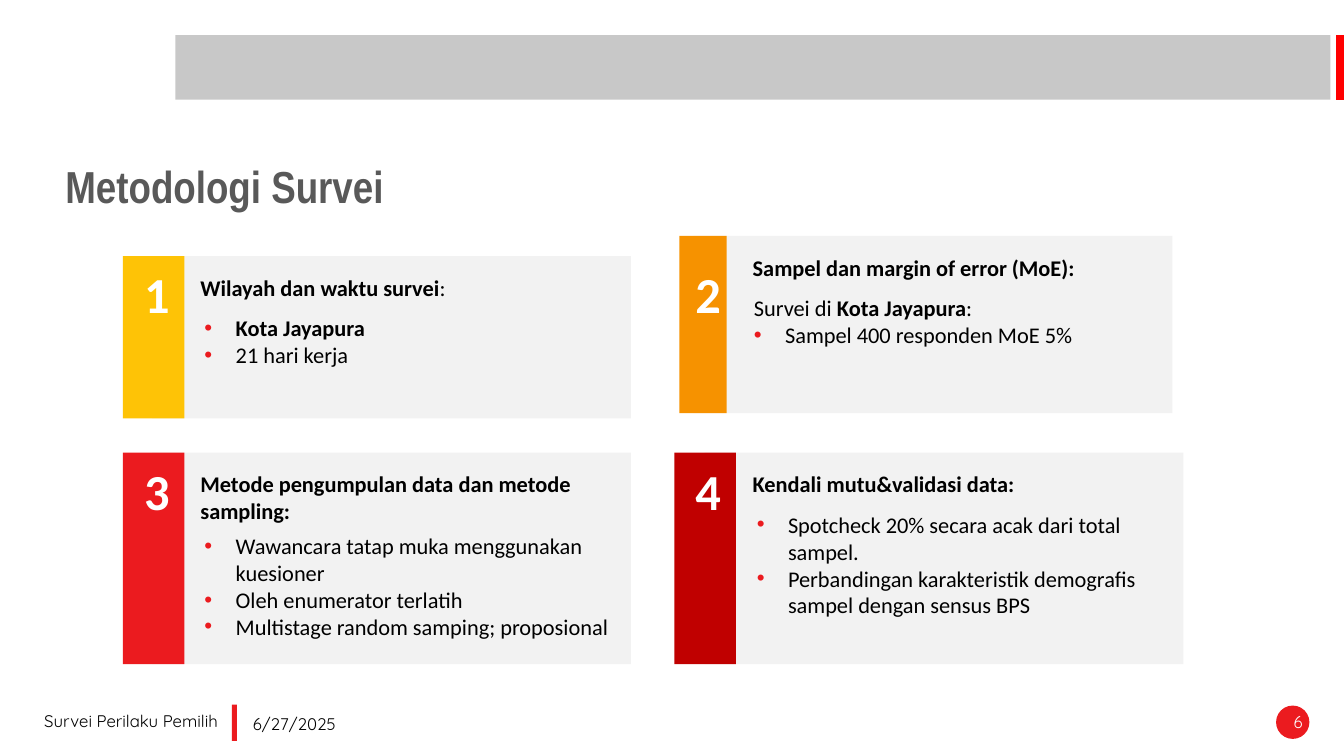
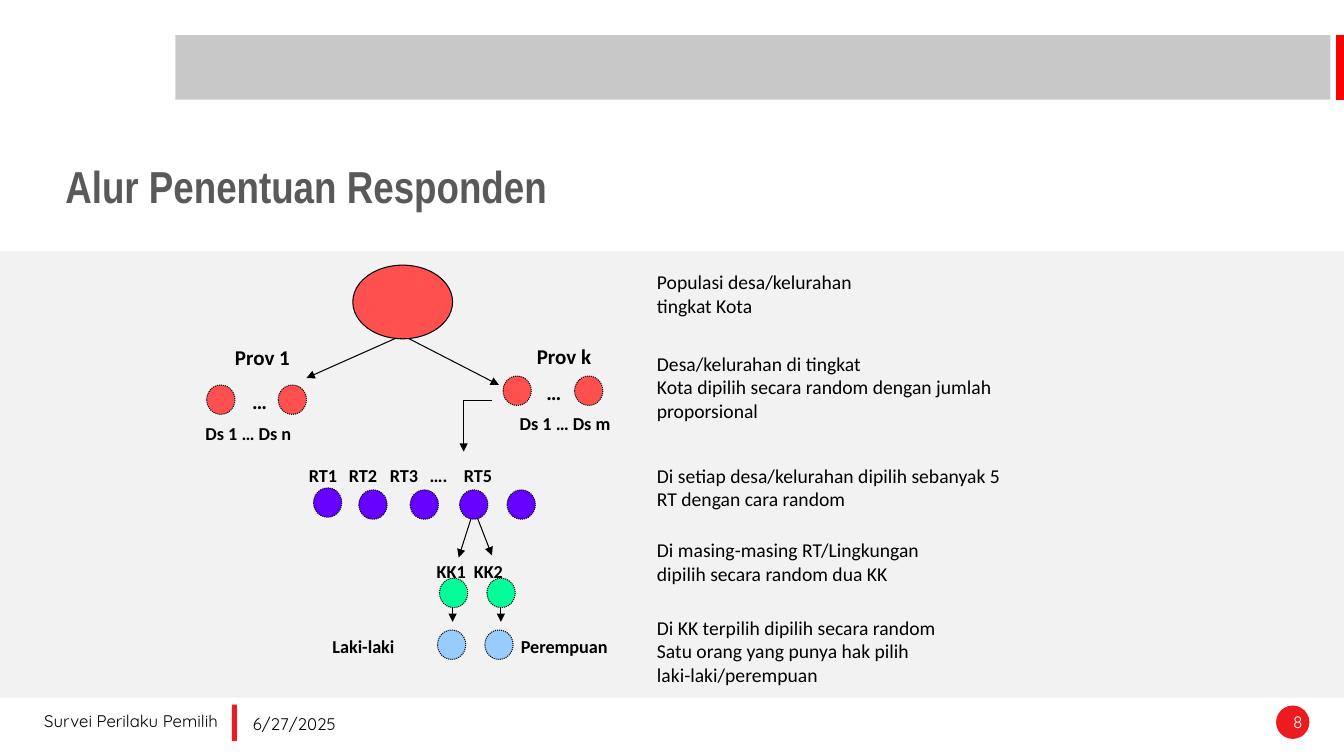
"""Build two survey slides: the method cards and the respondent flow."""
import pptx
import pptx.dml.color
import pptx.enum.dml
import pptx.enum.shapes
import pptx.enum.text
import pptx.oxml.ns
import pptx.util
from lxml import etree

Pt = pptx.util.Pt
RGB = pptx.dml.color.RGBColor
Kind = pptx.enum.shapes.MSO_SHAPE
Align = pptx.enum.text.PP_ALIGN
Anchor = pptx.enum.text.MSO_ANCHOR
Dash = pptx.enum.dml.MSO_LINE
qn = pptx.oxml.ns.qn

BLACK = RGB(0x00, 0x00, 0x00)
WHITE = RGB(0xFF, 0xFF, 0xFF)
GREY = RGB(0x59, 0x59, 0x59)
BAND = RGB(0xC8, 0xC8, 0xC8)
PANEL = RGB(0xF2, 0xF2, 0xF2)
EDGE = RGB(0xFF, 0x00, 0x00)
RED = RGB(0xEB, 0x1B, 0x1F)
YELLOW = RGB(0xFE, 0xC3, 0x06)
ORANGE = RGB(0xF6, 0x92, 0x00)
DARK = RGB(0xC0, 0x00, 0x00)
CORAL = RGB(0xFF, 0x50, 0x50)
PURPLE = RGB(0x66, 0x00, 0xFF)
GREEN = RGB(0x00, 0xFF, 0x99)
SKY = RGB(0x99, 0xCC, 0xFF)

HANG = 22.3
DOT = (20.2, 21)

CARDS = [
    dict(num="1", color=YELLOW, strip=(87.8, 182.9, 43.9, 115.9), panel=108.7,
         spot=(95.8, 190.1), head=(136.1, "*Wilayah dan waktu survei*:"),
         body=(139, 221), items=["*Kota Jayapura*", "21 hari kerja"]),
    dict(num="2", color=ORANGE, strip=(485.3, 168.5, 33.8, 126.7), panel=495.4,
         spot=(489.6, 190.1), head=(530.6, "*Sampel dan margin of error (MoE):*"),
         body=(531.4, 206.6), first=1,
         items=["Survei di *Kota Jayapura*:", "Sampel 400 responden MoE 5%"]),
    dict(num="3", color=RED, strip=(87.8, 323.3, 43.9, 151.2), panel=108.7,
         spot=(95.8, 330.5),
         head=(136.1, "*Metode pengumpulan data dan metode sampling:*"),
         body=(139, 376.6),
         items=["Wawancara tatap muka menggunakan kuesioner",
                "Oleh enumerator terlatih",
                "Multistage random samping; proposional"]),
    dict(num="4", color=DARK, strip=(481.7, 323.3, 43.9, 151.2), panel=503.3,
         spot=(489.6, 330.5), head=(530.6, "*Kendali mutu&validasi data:*"),
         body=(533.5, 361.4),
         items=["Spotcheck 20% secara acak dari total sampel.",
                "Perbandingan karakteristik demografis sampel dengan sensus BPS"]),
]

STEPS = [
    (189.4, ["Populasi desa/kelurahan", "tingkat Kota"]),
    (247.7, ["Desa/kelurahan di tingkat",
             "Kota dipilih secara random dengan jumlah proporsional"]),
    (327.6, ["Di setiap desa/kelurahan dipilih sebanyak 5 RT dengan cara random"]),
    (380.9, ["Di masing-masing RT/Lingkungan", "dipilih secara random dua KK"]),
    (436.3, ["Di KK terpilih dipilih secara random",
             "Satu orang yang punya hak pilih", "laki-laki/perempuan"]),
]

ARROWS = [
    (290.2, 238.3, 218.9, 270), (285.1, 238.3, 356.4, 275),
    (331.2, 285.8, 331.2, 322.6),
    (337.7, 366.5, 327.6, 398.2), (339.1, 365, 351.4, 396.7),
    (323.3, 418.3, 323.3, 444.2), (357.8, 417.6, 357.8, 444.2),
]

DOTS = [
    (CORAL, 275, [147.6, 198.7]),
    (CORAL, 268.6, [359.3, 410.4]),
    (PURPLE, 348.5, [223.9]),
    (PURPLE, 349.9, [256.3, 293, 328.3, 362.2]),
    (GREEN, 413, [313.9, 347.8]),
    (SKY, 450, [312.5, 346.3]),
]

MIDS = [
    ("Prov 1", 127.4, 242.6, 120.2, 15), ("Prov k", 345.6, 241.9, 114.5, 15),
    ("…", 154.8, 274.3, 61.2, 15), ("…", 365, 267.8, 61.2, 15),
    ("Ds 1 … Ds m", 349.9, 290.9, 107.3, 13),
]

TAGS = [
    (298.1, [("Ds 1 … Ds n", 139.7)]),
    (328.3, [("RT1", 213.5), ("RT2", 242.1), ("RT3", 271.4),
             ("….", 299.9), ("RT5", 324.2)]),
    (396.7, [("KK1", 304.9), ("KK2", 331.4)]),
    (450, [("Laki-laki", 230.4), ("Perempuan", 365)]),
]


def shape(slide, kind, box, fill, line=None, dash=None):
    """Add a filled preset shape, with an outline if a line colour is given."""
    item = slide.shapes.add_shape(kind, *map(Pt, box))
    item.shadow.inherit = False
    item.fill.solid()
    item.fill.fore_color.rgb = fill
    if line is None:
        item.line.fill.background()
    else:
        item.line.color.rgb = line
        item.line.width = Pt(0.75)
        if dash is not None:
            item.line.dash_style = dash
    return item


def line(slide, ends, color=BLACK, width=0.75, arrow=False):
    """Add a straight line, with an arrowhead at its end if asked."""
    item = slide.shapes.add_connector(
        pptx.enum.shapes.MSO_CONNECTOR.STRAIGHT, *map(Pt, ends))
    item.line.color.rgb = color
    item.line.width = Pt(width)
    if arrow:
        stroke = item.line._get_or_add_ln()
        etree.SubElement(stroke, qn("a:tailEnd"), type="triangle")
    etree.SubElement(item._element.spPr, qn("a:effectLst"))
    return item


def bullet(para):
    """Give a paragraph a hanging red bullet."""
    props = para._p.get_or_add_pPr()
    props.set("marL", str(int(Pt(HANG))))
    props.set("indent", str(-int(Pt(HANG))))
    tint = etree.SubElement(props, qn("a:buClr"))
    etree.SubElement(tint, qn("a:srgbClr"), val=str(RED))
    etree.SubElement(props, qn("a:buFont"), typeface="Arial")
    etree.SubElement(props, qn("a:buChar"), char="•")


def text(slide, words, box, size=16, font="Calibri", color=BLACK, bold=False,
         align=Align.LEFT, anchor=Anchor.TOP, space=None, first=None):
    """Add text; asterisks toggle bold, bullets start at paragraph first."""
    frame = slide.shapes.add_textbox(*map(Pt, box)).text_frame
    frame.word_wrap = True
    frame.vertical_anchor = anchor
    paras = [words] if isinstance(words, str) else words
    for row, words in enumerate(paras):
        para = frame.add_paragraph() if row else frame.paragraphs[0]
        para.alignment = align
        if space:
            para.line_spacing = space
        if first is not None and row >= first:
            bullet(para)
        for turn, part in enumerate(words.split("*")):
            if part:
                run = para.add_run()
                run.text = part
                run.font.size = Pt(size)
                run.font.name = font
                run.font.bold = bold or turn % 2 == 1
                run.font.color.rgb = color


def base(deck, title, page, panel=None):
    """Add a slide with the shared band, title and footer."""
    slide = deck.slides.add_slide(deck.slide_layouts[6])
    shape(slide, Kind.RECTANGLE, (125.3, 25.2, 825.1, 46.1), BAND)
    line(slide, (957.6, 25.2, 957.6, 71.3), EDGE, 6)
    if panel:
        shape(slide, Kind.RECTANGLE, panel, PANEL)
    shape(slide, Kind.OVAL, (911.5, 504, 23.8, 23.8), RED)
    shape(slide, Kind.RECTANGLE, (165.6, 503.3, 3.6, 25.9), RED)
    small = dict(size=12, font="Quicksand")
    text(slide, "Survei Perilaku Pemilih", (24.5, 504, 151.2, 28.8), **small)
    text(slide, "6/27/2025", (173.5, 506.2, 121.7, 28.8), **small)
    text(slide, page, (809.3, 504.7, 128.2, 28.8), color=WHITE,
         align=Align.RIGHT, **small)
    text(slide, title, (39.6, 102.2, 436, 66.2), size=32, font="Arial Narrow",
         color=GREY, bold=True, anchor=Anchor.MIDDLE, space=0.9)
    return slide


def card(slide, num, color, strip, panel, spot, head, body, items, first=0):
    """Add a numbered card with a heading and a list."""
    top, high = strip[1], strip[3]
    left, title = head
    shape(slide, Kind.RECTANGLE, (panel, top, 342, high), PANEL)
    shape(slide, Kind.RECTANGLE, strip, color)
    text(slide, items, (*body, 307, high - 60), first=first)
    text(slide, title, (left, top + 9.3, 297, 26.6))
    text(slide, num, (*spot, 28, 44.6), size=36, color=WHITE, bold=True,
         align=Align.CENTER, anchor=Anchor.MIDDLE, space=0.9)


def method(deck):
    """Add the slide of four method cards."""
    slide = base(deck, "Metodologi Survei", "6")
    for spec_row in CARDS:
        card(slide, **spec_row)


def flow(deck):
    """Add the slide that shows how respondents are chosen."""
    slide = base(deck, "Alur Penentuan Responden", "8", (0, 179.3, 960, 319))
    for top, words in STEPS:
        text(slide, words, (462.2, top, 272, 20 + 17 * len(words)), size=14)
    for ends in ARROWS:
        line(slide, ends, arrow=True)
    line(slide, (331.2, 285.8, 351.4, 285.8))
    shape(slide, Kind.OVAL, (252, 189.4, 71.3, 52.6), CORAL, BLACK)
    for color, top, lefts in DOTS:
        for left in lefts:
            shape(slide, Kind.OVAL, (left, top, *DOT), color, BLACK,
                  Dash.ROUND_DOT)
    for words, left, top, wide, size in MIDS:
        text(slide, words, (left, top, wide, 22.3), size=size, bold=True,
             align=Align.CENTER)
    for top, names in TAGS:
        for words, left in names:
            wide = 100 if len(words) > 4 else 45
            text(slide, words, (left, top, wide, 20.2), size=13, bold=True)


def main():
    """Build and save the deck."""
    deck = pptx.Presentation()
    deck.slide_width, deck.slide_height = Pt(960), Pt(540)
    method(deck)
    flow(deck)
    deck.save("out.pptx")


if __name__ == "__main__":
    main()
